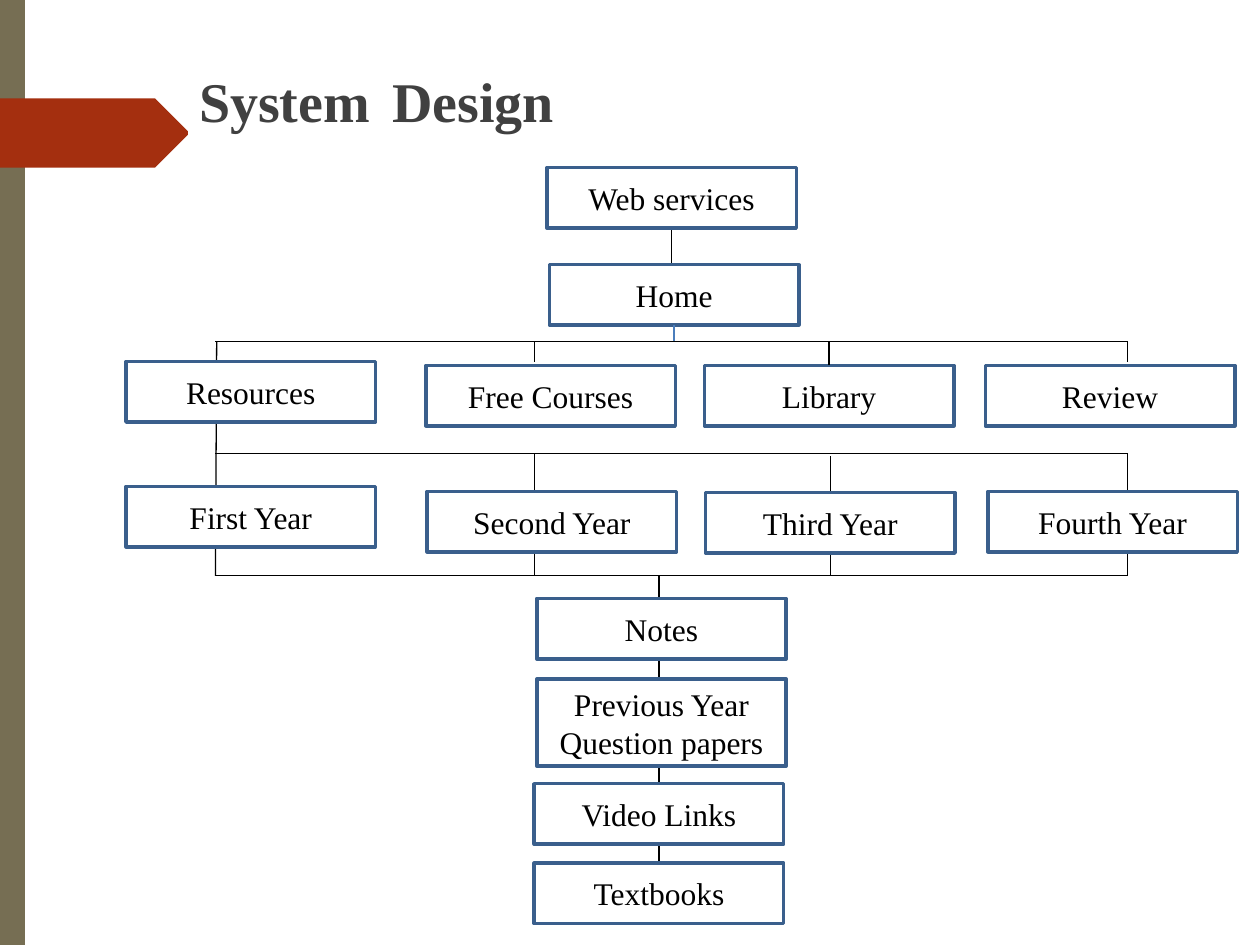
import pptx
import pptx.dml.color
import pptx.enum.shapes
import pptx.enum.text
import pptx.oxml.ns
import pptx.util
import lxml.etree

Inches = pptx.util.Inches
Pt = pptx.util.Pt

COLORS = {
    "band": "766E53",
    "tag": "A42F0F",
    "title": "404040",
    "text": "000000",
    "line": "000000",
    "home_line": "4B7EBC",
    "box_fill": "FFFFFF",
    "box_line": "3A5F8C",
}
FONT = "Times New Roman"
TITLE = "System Design\v"
BOX_WIDTH, BOX_HEIGHT, TALL_HEIGHT = 1.98, 0.48, 0.69
LEFT_X, SECOND_X, RIGHT_X = 1.71, 4.24, 8.95
MENU_Y, YEAR_Y, NOTES_Y = 2.71, 3.6, 4.57

BAND = [(0.2, 0), (0, 0), (0, 7.5), (0.2, 7.5)]
TAG = [(0, 0.78), (0, 1.33), (1.23, 1.33), (1.49, 1.07), (1.49, 1.04), (1.23, 0.78)]

BOXES = [
    ("Web services", 4.34, 1.33, BOX_HEIGHT),
    ("Home", 4.36, 2.1, BOX_HEIGHT),
    ("Resources", 1, 2.87, BOX_HEIGHT),
    ("Free Courses", 3.38, 2.9, BOX_HEIGHT),
    ("Library", 5.59, 2.9, BOX_HEIGHT),
    ("Review", 7.82, 2.9, BOX_HEIGHT),
    ("First Year", 1, 3.86, BOX_HEIGHT),
    ("Second Year", 3.39, 3.9, BOX_HEIGHT),
    ("Third Year", 5.6, 3.91, BOX_HEIGHT),
    ("Fourth Year", 7.84, 3.9, BOX_HEIGHT),
    ("Notes", 4.26, 4.75, BOX_HEIGHT),
    ("Previous Year Question papers", 4.26, 5.39, TALL_HEIGHT),
    ("Video Links", 4.24, 6.22, BOX_HEIGHT),
    ("Textbooks", 4.24, 6.85, BOX_HEIGHT),
]

LINES_BEHIND = [
    (5.23, NOTES_Y, 5.23, 6.85, "line", None, "Textbooks"),
    (RIGHT_X, YEAR_Y, RIGHT_X, NOTES_Y, "line", None, None),
    (6.59, 3.62, 6.59, NOTES_Y, "line", None, None),
    (SECOND_X, YEAR_Y, SECOND_X, NOTES_Y, "line", None, None),
    (1.72, MENU_Y, LEFT_X, NOTES_Y, "line", None, None),
    (5.33, 1.81, 5.33, 2.34, "line", "Web services", None),
]
LINES_IN_FRONT = [
    (5.35, 2.58, 5.35, MENU_Y, "home_line", "Home", None),
    (SECOND_X, MENU_Y, SECOND_X, 2.87, "line", None, None),
    (6.58, MENU_Y, 6.58, 2.9, "line", None, "Library"),
    (RIGHT_X, MENU_Y, RIGHT_X, 2.87, "line", None, None),
] + [(LEFT_X, y, RIGHT_X, y, "line", None, None) for y in (MENU_Y, YEAR_Y, NOTES_Y)]


def color(name):
    return pptx.dml.color.RGBColor.from_string(COLORS[name])


def format_font(paragraph, size, color_name, bold=False):
    for run in paragraph.runs:
        run.font.name = FONT
        run.font.size = Pt(size)
        run.font.bold = bold
        run.font.color.rgb = color(color_name)


def add_outline(slide, points, fill):
    builder = slide.shapes.build_freeform(
        Inches(points[0][0]), Inches(points[0][1]), scale=1.0
    )
    builder.add_line_segments([(Inches(x), Inches(y)) for x, y in points[1:]], close=True)
    shape = builder.convert_to_shape()
    shape.shadow.inherit = False
    shape.fill.solid()
    shape.fill.fore_color.rgb = color(fill)
    shape.line.fill.background()


def add_line(slide, line):
    connector = slide.shapes.add_connector(
        pptx.enum.shapes.MSO_CONNECTOR.STRAIGHT, *map(Inches, line[:4])
    )
    connector.line.color.rgb = color(line[4])
    connector.line.width = Pt(0.75)
    properties = connector._element.spPr
    lxml.etree.SubElement(properties, pptx.oxml.ns.qn("a:effectLst"))
    return connector


def add_box(slide, text, left, top, height):
    shape = slide.shapes.add_shape(
        pptx.enum.shapes.MSO_SHAPE.RECTANGLE,
        Inches(left), Inches(top), Inches(BOX_WIDTH), Inches(height),
    )
    shape.shadow.inherit = False
    shape.fill.solid()
    shape.fill.fore_color.rgb = color("box_fill")
    shape.line.color.rgb = color("box_line")
    shape.line.width = Pt(2)
    frame = shape.text_frame
    frame.word_wrap = True
    frame.vertical_anchor = pptx.enum.text.MSO_ANCHOR.MIDDLE
    frame.text = text
    frame.paragraphs[0].alignment = pptx.enum.text.PP_ALIGN.CENTER
    format_font(frame.paragraphs[0], 18, "text")
    return shape


def add_title(slide):
    box = slide.shapes.add_textbox(Inches(1.58), Inches(0.53), Inches(2.82), Inches(1.08))
    frame = box.text_frame
    frame.word_wrap = True
    frame.margin_left = frame.margin_right = frame.margin_top = frame.margin_bottom = 0
    frame.text = TITLE
    paragraph = frame.paragraphs[0]
    paragraph.alignment = pptx.enum.text.PP_ALIGN.JUSTIFY
    format_font(paragraph, 32, "title", bold=True)


def main():
    presentation = pptx.Presentation()
    presentation.slide_width = Inches(10)
    presentation.slide_height = Inches(7.5)
    slide = presentation.slides.add_slide(presentation.slide_layouts[6])
    add_outline(slide, BAND, "band")
    add_outline(slide, TAG, "tag")
    connectors = [add_line(slide, line) for line in LINES_BEHIND]
    boxes = {box[0]: add_box(slide, *box) for box in BOXES}
    connectors += [add_line(slide, line) for line in LINES_IN_FRONT]
    for connector, line in zip(connectors, LINES_BEHIND + LINES_IN_FRONT):
        source, target = line[5:]
        if source:
            connector.begin_connect(boxes[source], 2)
        if target:
            connector.end_connect(boxes[target], 0)
    add_title(slide)
    presentation.save("out.pptx")


if __name__ == "__main__":
    main()
